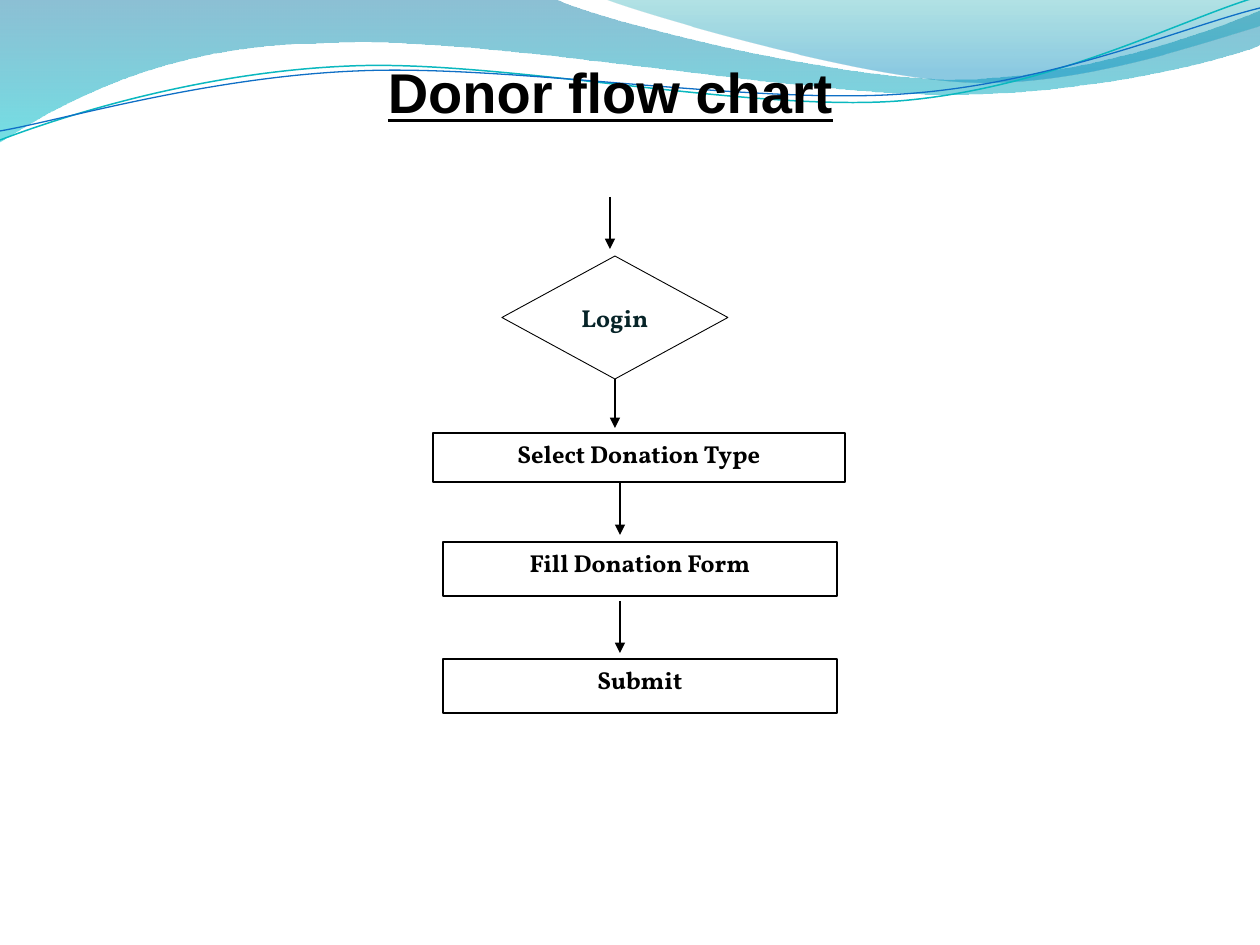
from dataclasses import dataclass

import lxml.etree
import pptx
import pptx.dml.color
import pptx.enum.shapes
import pptx.enum.text
import pptx.oxml.ns
import pptx.util

PX = 914400 // 126
SHAPES = pptx.enum.shapes.MSO_SHAPE
ANCHOR = pptx.enum.text.MSO_ANCHOR


@dataclass(frozen=True)
class Theme:
    ink: str = "000000"
    login_ink: str = "072428"
    paper: str = "FFFFFF"
    teal_line: str = "0AB8BF"
    blue_line: str = "0F6FC6"
    # Gradient stops from top to bottom: position, colour, opacity in percent
    back_wave: tuple = ((0, "0074A1", 45), (1, "00C6CF", 55))
    front_wave: tuple = ((0, "00A1A9", 30), (0.8, "008BBF", 45))
    title_font: str = "Arial"
    title_size: int = 32
    step_font: str = "Vollkorn"
    step_size: int = 14
    thin: float = 0.5
    normal: float = 0.75
    teal_width: float = 0.85


THEME = Theme()

# Each outline is a start point, then lines (one point) and Bézier curves (three points).
BACK_WAVE = ((0, -1), [
    [(555, -1)],
    [(600, 21), (837, 79), (955, 79)],
    [(1075, 79), (1207, 33), (1260, 11)],
    [(1261, 45)],
    [(1239, 55), (1096, 96), (940, 94)],
    [(784, 94), (481, 35), (324, 43)],
    [(163, 44), (58, 105), (-1, 142)],
])
FRONT_WAVE = ((604, -1), [
    [(641, 14), (859, 78), (969, 82)],
    [(1079, 87), (1211, 40), (1260, 26)],
    [(1260, 0)],
])
TEAL_STRAND = ((0, 140), [
    [(60, 117), (199, 72), (349, 66)],
    [(498, 59), (747, 112), (898, 101)],
    [(1050, 89), (1182, 19), (1257, -3)],
])
BLUE_STRAND = ((0, 131), [
    [(59, 121), (207, 77), (357, 71)],
    [(508, 64), (752, 105), (903, 94)],
    [(1053, 84), (1186, 26), (1260, 8)],
])


def qn(tag):
    return pptx.oxml.ns.qn(tag)


def px(*lengths):
    return [length * PX for length in lengths]


def rgb(colour):
    return pptx.dml.color.RGBColor.from_string(colour)


def set_line(line, colour, width):
    line.color.rgb = rgb(colour)
    line.width = pptx.util.Pt(width)


def write(frame, text, font, size, colour, anchor):
    frame.word_wrap = True
    frame.vertical_anchor = anchor
    paragraph = frame.paragraphs[0]
    paragraph.alignment = pptx.enum.text.PP_ALIGN.CENTER
    run = paragraph.add_run()
    run.text = text
    run.font.name = font
    run.font.size = pptx.util.Pt(size)
    run.font.bold = True
    run.font.color.rgb = rgb(colour)
    return run


def add_outline(slide, box, outline, closed):
    """Build the outline from its control points, then join each three into a curve."""
    left, top = box[:2]
    start, segments = outline
    builder = slide.shapes.build_freeform(*px(left + start[0], top + start[1]), scale=1.0)
    builder.add_line_segments(
        [px(left + x, top + y) for segment in segments for x, y in segment], close=closed)
    shape = builder.convert_to_shape()
    shape.shadow.inherit = False
    steps = iter(list(shape._element.iter(qn("a:lnTo"))))
    for segment in segments:
        parts = [next(steps) for _ in segment]
        if len(parts) == 3:
            curve = lxml.etree.Element(qn("a:cubicBezTo"))
            parts[0].addprevious(curve)
            for part in parts:
                curve.append(part[0])
                part.getparent().remove(part)
    return shape


def add_waves(slide, box):
    """Draw the waves and set them behind everything, on the slide's layout."""
    decoration = []
    for outline, stops in ((BACK_WAVE, THEME.back_wave), (FRONT_WAVE, THEME.front_wave)):
        wave = add_outline(slide, box, outline, closed=True)
        wave.line.fill.background()
        wave.fill.gradient()
        wave.fill.gradient_angle = 270
        for stop, (position, colour, _) in zip(wave.fill.gradient_stops, stops):
            stop.position = position
            stop.color.rgb = rgb(colour)
        tags = list(wave._element.spPr.iter(qn("a:srgbClr")))
        for tag, (_, _, opacity) in zip(tags, stops):
            lxml.etree.SubElement(tag, qn("a:alpha")).set("val", str(opacity * 1000))
        decoration.append(wave)
    for outline, colour, width in ((TEAL_STRAND, THEME.teal_line, THEME.teal_width),
                                   (BLUE_STRAND, THEME.blue_line, THEME.normal)):
        strand = add_outline(slide, box, outline, closed=False)
        strand.fill.background()
        set_line(strand.line, colour, width)
        decoration.append(strand)
    backdrop = slide.slide_layout.shapes._spTree
    for index, part in enumerate(decoration, start=2):
        backdrop.insert(index, part._element)


def add_title(slide, box):
    title = slide.shapes.title
    title.left, title.top, title.width, title.height = px(*box)
    heading = write(title.text_frame, "Donor flow chart", THEME.title_font,
                    THEME.title_size, THEME.ink, ANCHOR.TOP)
    heading.font.underline = True
    title.text_frame.margin_top = 9 * PX


def add_step(slide, box, kind, text, colour, width, anchor):
    step = slide.shapes.add_shape(kind, *px(*box))
    step.shadow.inherit = False
    step.fill.solid()
    step.fill.fore_color.rgb = rgb(THEME.paper)
    set_line(step.line, THEME.ink, width)
    write(step.text_frame, text, THEME.step_font, THEME.step_size, colour, anchor)
    return step


def add_arrow(slide, x, top, bottom):
    arrow = slide.shapes.add_connector(
        pptx.enum.shapes.MSO_CONNECTOR.STRAIGHT, *px(x, top, x, bottom))
    set_line(arrow.line, THEME.ink, THEME.normal)
    head = lxml.etree.SubElement(arrow.line._get_or_add_ln(), qn("a:tailEnd"))
    head.set("type", "triangle")
    lxml.etree.SubElement(arrow._element.spPr, qn("a:effectLst"))
    return arrow


def add_flow(slide, box):
    left, top, width, _ = box
    after_login = add_arrow(slide, left + 182, top + 182, top + 231)
    for text, x, y, step_width, step_height in (
            ("Select Donation Type", 0, 236, width, 49),
            ("Fill Donation Form", 10, 345, 394, 54),
            ("Submit", 10, 462, 394, 54)):
        add_step(slide, (left + x, top + y, step_width, step_height),
                 SHAPES.RECTANGLE, text, THEME.ink, THEME.normal, ANCHOR.TOP)
    for x, y in ((187, 286), (187, 404), (177, 0)):
        add_arrow(slide, left + x, top + y, top + y + 52)
    login = add_step(slide, (left + 69, top + 59, 226, 123), SHAPES.FLOWCHART_DECISION,
                     "Login", THEME.login_ink, THEME.thin, ANCHOR.MIDDLE)
    after_login.begin_connect(login, 2)


def main():
    deck = pptx.Presentation()
    deck.slide_width, deck.slide_height = pptx.util.Inches(10), pptx.util.Inches(7.5)
    slide = deck.slides.add_slide(deck.slide_layouts.get_by_name("Title Only"))
    add_waves(slide, (0, 0, 1260, 142))
    add_title(slide, (0, 49, 1221, 149))
    add_flow(slide, (433, 197, 412, 517))
    deck.save("out.pptx")


if __name__ == "__main__":
    main()
